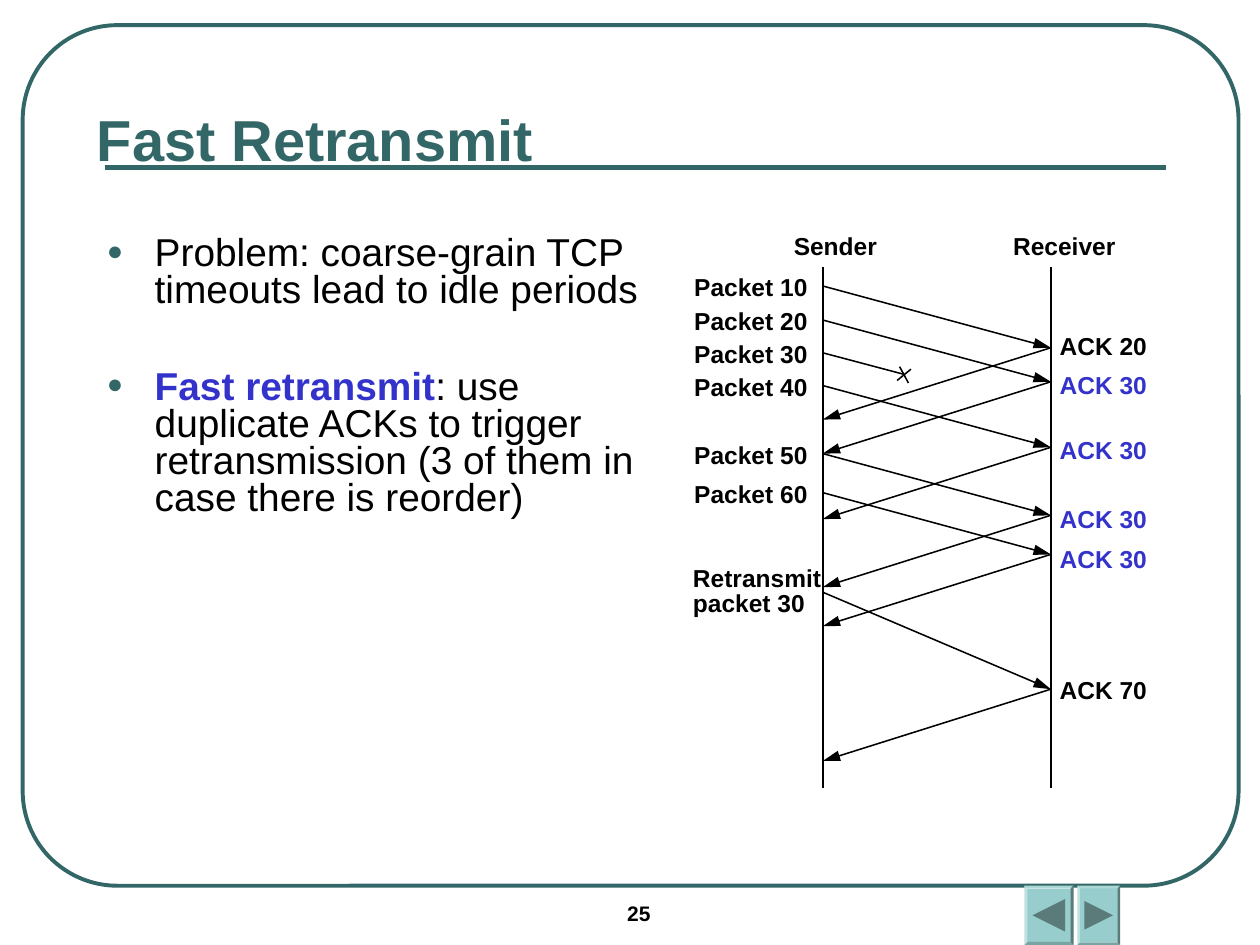
"""Build the Fast Retransmit slide with its packet timing diagram."""
from dataclasses import dataclass

from lxml import etree
from pptx import Presentation
from pptx.dml.color import RGBColor
from pptx.enum.shapes import MSO_CONNECTOR, MSO_SHAPE
from pptx.enum.text import MSO_ANCHOR, MSO_AUTO_SIZE
from pptx.oxml.ns import qn
from pptx.util import Inches, Pt

LINE = MSO_CONNECTOR.STRAIGHT
ROUND, BEVEL = MSO_SHAPE.ROUNDED_RECTANGLE, MSO_SHAPE.BEVEL
BOTTOM = MSO_ANCHOR.BOTTOM
FIXED = MSO_AUTO_SIZE.NONE


@dataclass(frozen=True)
class Theme:
    font: str = "Arial"
    teal: str = "336666"
    blue: str = "3333CC"
    ink: str = "000000"
    face: str = "97CDCC"
    arrow: str = "5A7B7A"
    title: float = 33
    body: float = 22.2
    label: float = 14
    page: float = 12
    thin: float = 0.88


T = Theme()
TITLE = "Fast Retransmit"
PAGE = "25"
POINTS = [
    [("Problem: coarse-grain TCP timeouts lead to idle periods", T.ink, False)],
    [("Fast retransmit", T.blue, True),
     (": use duplicate ACKs to trigger retransmission "
      "(3 of them in case there is reorder)", T.ink, False)],
]
SENDS = [
    ("Packet 10", 2.27, "ACK 20", 2.63, T.ink),
    ("Packet 20", 2.54, "ACK 30", 2.94, T.blue),
    ("Packet 40", 3.06, "ACK 30", 3.45, T.blue),
    ("Packet 50", 3.60, "ACK 30", 4.00, T.blue),
    ("Packet 60", 3.91, "ACK 30", 4.32, T.blue),
]
LOST = ("Packet 30", 2.80)
RESEND = [("Retransmit", 1.02, 4.47), ("packet 30", 0.89, 4.67)]
RESENT, FINAL = 4.70, ("ACK 70", 5.47, 5.36)
HEADS = [("Sender", 6.30, 0.66), ("Receiver", 8.04, 0.81)]
BUTTONS = [(8.13, 0.39, -1), (8.55, 0.34, 1)]

LEFT, RIGHT = 6.53, 8.34
TOP, END = 2.12, 6.25
TRIP, BACK = 0.49, 0.57
NAME_X, ACK_X = 5.51, 8.41
RISE, TALL, SLACK = 0.11, 0.23, 0.04


def color(code):
    return RGBColor.from_string(code)


def write(para, text, size, code, bold):
    run = para.add_run()
    run.text = text
    run.font.name, run.font.size, run.font.bold = T.font, Pt(size), bold
    run.font.color.rgb = color(code)


def box(slide, x, y, wide, tall):
    frame = slide.shapes.add_textbox(*map(Inches, (x, y, wide, tall))).text_frame
    frame.word_wrap, frame.auto_size = True, FIXED
    return frame


def label(slide, text, x, y, wide, code=T.ink):
    frame = box(slide, x, y, wide + SLACK, TALL)
    frame.word_wrap = False
    frame.margin_left = frame.margin_right = 0
    frame.margin_top = frame.margin_bottom = 0
    frame.paragraphs[0].alignment = None
    write(frame.paragraphs[0], text, T.label, code, True)
    frame.word_wrap = True


def line(slide, x1, y1, x2, y2, code=T.ink, width=T.thin, head=False):
    link = slide.shapes.add_connector(LINE, *map(Inches, (x1, y1, x2, y2)))
    link.line.color.rgb = color(code)
    link.line.width = Pt(width)
    props = link.line._get_or_add_ln()
    if head:
        etree.SubElement(props, qn("a:tailEnd"), type="triangle", w="med", len="lg")
    etree.SubElement(props.getparent(), qn("a:effectLst"))


def bullet(para):
    props = para._p.get_or_add_pPr()
    props.set("marL", str(Inches(0.38)))
    props.set("indent", str(-Inches(0.38)))
    tint = etree.SubElement(props, qn("a:buClr"))
    etree.SubElement(tint, qn("a:srgbClr"), val=T.teal)
    etree.SubElement(props, qn("a:buSzPct"), val="70000")
    etree.SubElement(props, qn("a:buFont"), typeface=T.font)
    etree.SubElement(props, qn("a:buChar"), char="●")


def button(slide, x, wide, way):
    y, tall = 7.03, 0.47
    face = slide.shapes.add_shape(BEVEL, *map(Inches, (x, y, wide, tall)))
    face.adjustments[0] = 0.06
    mid, half = x + wide / 2, wide / 3
    tip = (mid + way * half, y + tall / 2)
    base = [(mid - way * half, tip[1] + side * half) for side in (-1, 1)]
    build = slide.shapes.build_freeform(*map(Inches, tip), scale=1.0)
    build.add_line_segments([tuple(map(Inches, spot)) for spot in base])
    for part, code in ((face, T.face), (build.convert_to_shape(), T.arrow)):
        part.shadow.inherit = False
        part.fill.solid()
        part.fill.fore_color.rgb = color(code)
        part.line.fill.background()


def border(slide):
    edge = slide.shapes.add_shape(ROUND, *map(Inches, (0.18, 0.2, 9.65, 6.83)))
    edge.adjustments[0] = 0.11
    edge.shadow.inherit = False
    edge.fill.background()
    edge.line.color.rgb = color(T.teal)
    edge.line.width = Pt(2.25)
    line(slide, 0.83, 1.33, 9.25, 1.33, T.teal, 3)
    for item in BUTTONS:
        button(slide, *item)
    write(box(slide, 4.88, 7.1, 1.17, 0.33).paragraphs[0], PAGE, T.page, T.ink, True)


def prose(slide):
    head = box(slide, 0.67, 0.17, 8.5, 1.25)
    head.vertical_anchor = BOTTOM
    write(head.paragraphs[0], TITLE, T.title, T.teal, True)
    body = box(slide, 0.75, 1.83, 4.67, 2.42)
    for i, runs in enumerate(POINTS):
        para = body.add_paragraph() if i else body.paragraphs[0]
        bullet(para)
        para.line_spacing = 0.8
        para.space_before = Pt(33.6 if i else 0)
        for text, code, bold in runs:
            write(para, text, T.body, code, bold)


def trip(slide, sent, got, ack, y, code):
    line(slide, LEFT, sent, RIGHT, got, head=True)
    line(slide, RIGHT, got, LEFT, got + BACK, head=True)
    label(slide, ack, ACK_X, y, 0.69, code)


def chart(slide):
    for text, x, wide in HEADS:
        label(slide, text, x, 1.83, wide)
    for x in (LEFT, RIGHT):
        line(slide, x, TOP, x, END)
    for name, sent, ack, y, code in SENDS:
        label(slide, name, NAME_X, sent - RISE, 0.9)
        trip(slide, sent, sent + TRIP, ack, y, code)
    name, sent = LOST
    label(slide, name, NAME_X, sent - RISE, 0.9)
    line(slide, LEFT, sent, 7.17, 2.97)
    line(slide, 7.14, 2.91, 7.21, 3.04)
    line(slide, 7.23, 2.93, 7.12, 3.02)
    for name, wide, y in RESEND:
        label(slide, name, 5.5, y, wide)
    ack, got, y = FINAL
    trip(slide, RESENT, got, ack, y, T.ink)


def main():
    deck = Presentation()
    deck.slide_width, deck.slide_height = Inches(10), Inches(7.5)
    slide = deck.slides.add_slide(deck.slide_layouts[6])
    border(slide)
    prose(slide)
    chart(slide)
    deck.save("out.pptx")


if __name__ == "__main__":
    main()
